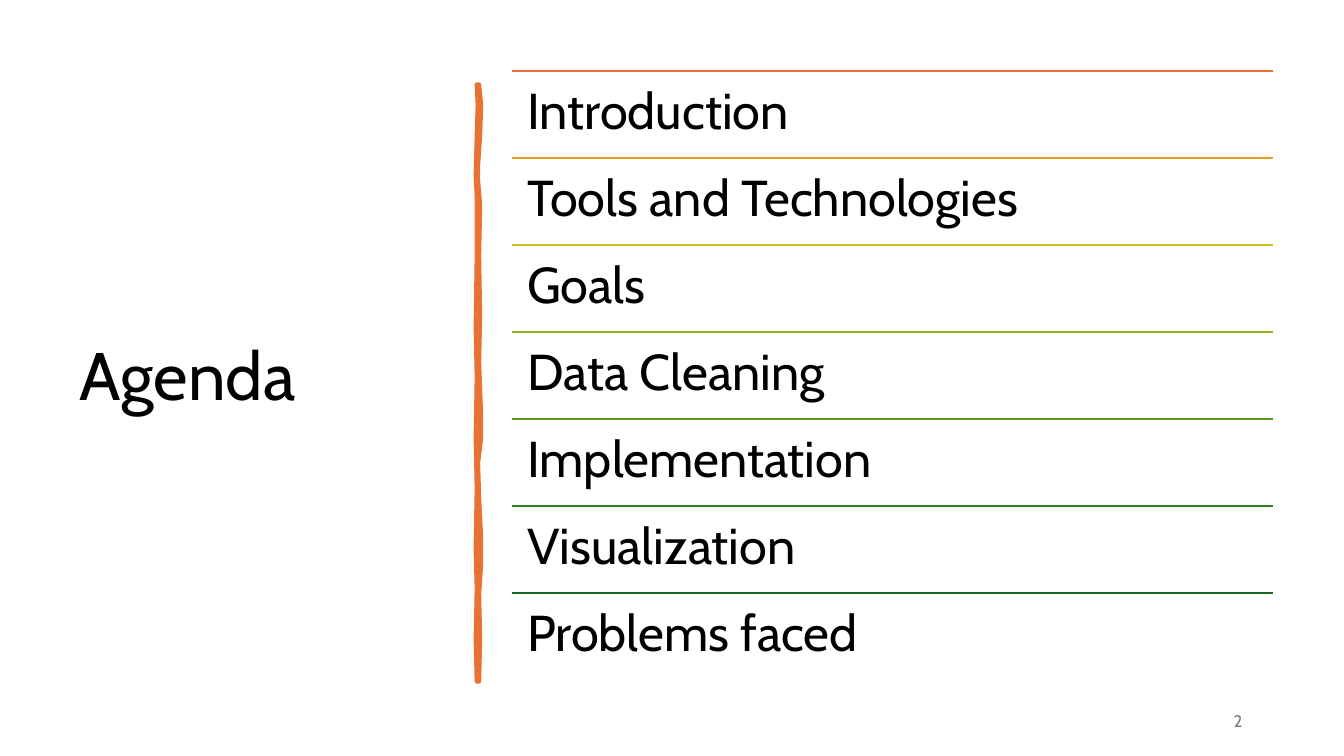
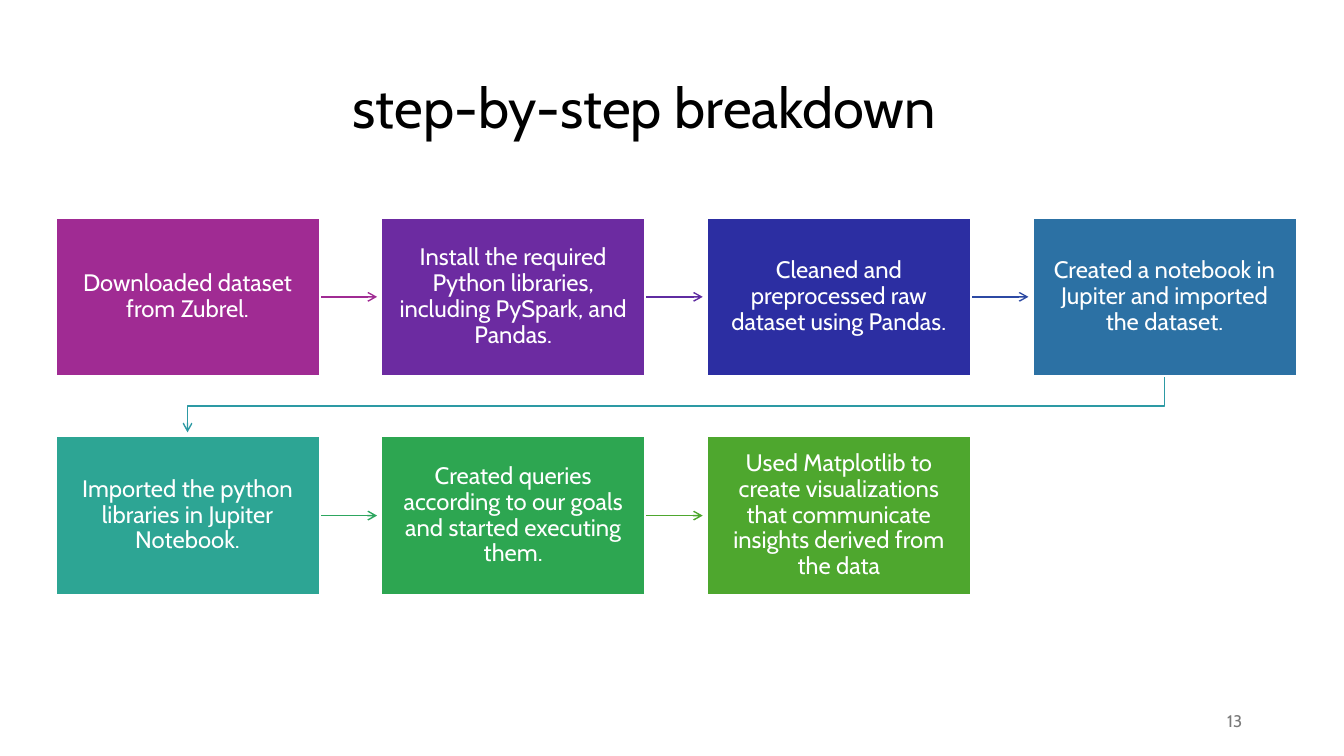
from lxml import etree
from pptx import Presentation
from pptx.dml.color import RGBColor
from pptx.enum import shapes as sh, text as tx
from pptx.oxml import ns
from pptx.util import Inches, Pt

# Shared style
FONT = "Cabin"
BLACK = RGBColor(0x00, 0x00, 0x00)
WHITE = RGBColor(0xFF, 0xFF, 0xFF)
GREY = RGBColor(0x79, 0x79, 0x79)
ORANGE = RGBColor(0xE9, 0x71, 0x32)
LEFT, CENTER, RIGHT = tx.PP_ALIGN.LEFT, tx.PP_ALIGN.CENTER, tx.PP_ALIGN.RIGHT
TOP, MIDDLE = tx.MSO_ANCHOR.TOP, tx.MSO_ANCHOR.MIDDLE

AGENDA = [
    ("Introduction", ORANGE),
    ("Tools and Technologies", RGBColor(0xE3, 0x9D, 0x1F)),
    ("Goals", RGBColor(0xCB, 0xC1, 0x1E)),
    ("Data Cleaning", RGBColor(0x8E, 0xB2, 0x1E)),
    ("Implementation", RGBColor(0x56, 0x99, 0x1D)),
    ("Visualization", RGBColor(0x2C, 0x82, 0x1B)),
    ("Problems faced", RGBColor(0x19, 0x6B, 0x24)),
]

# Step text, box colour, colour of the arrow to the next step
STEPS = [
    ("Downloaded dataset from Zubrel.",
     RGBColor(0xA0, 0x2B, 0x93), RGBColor(0xA0, 0x2B, 0x93)),
    ("Install the required Python libraries, including PySpark, and Pandas.",
     RGBColor(0x6C, 0x2B, 0xA1), RGBColor(0x5F, 0x2C, 0xA1)),
    ("Cleaned and preprocessed raw dataset using Pandas.",
     RGBColor(0x2C, 0x2E, 0xA2), RGBColor(0x2C, 0x49, 0xA3)),
    ("Created a notebook in Jupiter and imported the dataset.",
     RGBColor(0x2C, 0x71, 0xA4), RGBColor(0x2D, 0x9A, 0xA4)),
    ("Imported the python libraries in Jupiter Notebook.",
     RGBColor(0x2D, 0xA5, 0x94), RGBColor(0x2D, 0xA6, 0x5F)),
    ("Created queries according to our goals and started executing them.",
     RGBColor(0x2D, 0xA6, 0x51), RGBColor(0x4E, 0xA7, 0x2E)),
    ("Used Matplotlib to create visualizations that communicate insights "
     "derived from the data", RGBColor(0x4E, 0xA7, 0x2E), None),
]

# Hand-drawn edges of the agenda divider: (x, y) from its top left corner
BRUSH_RIGHT = [(0.04, 0), (0.06, 0.2), (0.05, 0.5), (0.03, 0.8), (0.03, 0.95),
               (0.05, 1.2), (0.04, 1.7), (0.05, 2.3), (0.04, 2.75), (0.06, 3.3),
               (0.06, 3.5), (0.03, 3.75), (0.04, 4.1), (0.06, 4.5), (0.06, 4.75),
               (0.04, 5.05), (0.05, 5.5), (0.04, 5.92)]
BRUSH_LEFT = [(0.02, 5.92), (0.01, 5.5), (0.02, 5), (0.01, 4.6), (0.02, 4),
              (0.01, 3.5), (0.02, 2.9), (0.01, 2.4), (0.02, 1.7), (0.02, 1.1),
              (0.01, 0.9), (0.02, 0.5), (0.03, 0.2), (0.02, 0)]


def write(shape, words, size, color=BLACK, align=LEFT, anchor=TOP,
          spacing=None, inset=None):
    frame = shape.text_frame
    frame.word_wrap = True
    frame.vertical_anchor = anchor
    if inset is not None:
        frame.margin_left = frame.margin_right = Inches(inset)
        frame.margin_top = frame.margin_bottom = Inches(inset)
    paragraph = frame.paragraphs[0]
    paragraph.alignment = align
    if spacing:
        paragraph.line_spacing = spacing
    run = paragraph.add_run()
    run.text = words
    run.font.name, run.font.size = FONT, Pt(size)
    run.font.color.rgb = color


def add_text(slide, box, words, size, **style):
    write(slide.shapes.add_textbox(*map(Inches, box)), words, size, **style)


def add_page_number(slide, number):
    add_text(slide, (9.42, 6.95, 3, 0.4), number, 12, color=GREY,
             align=RIGHT, anchor=MIDDLE)


def add_outline(slide, points, close):
    (x, y), *others = [(Inches(px), Inches(py)) for px, py in points]
    builder = slide.shapes.build_freeform(x, y)
    builder.add_line_segments(others, close=close)
    outline = builder.convert_to_shape()
    outline.shadow.inherit = False
    return outline


def add_line(slide, start, end):
    line = slide.shapes.add_connector(
        sh.MSO_CONNECTOR.STRAIGHT, *map(Inches, (*start, *end)))
    etree.SubElement(line._element.spPr, ns.qn("a:effectLst"))
    return line


def style_line(shape, color, width, arrow=False):
    shape.line.color.rgb = color
    shape.line.width = Pt(width)
    if arrow:
        etree.SubElement(shape.line._get_or_add_ln(), ns.qn("a:tailEnd"),
                         type="arrow")


# Agenda slide
def add_divider(slide, left, top):
    points = [(left + x, top + y) for x, y in BRUSH_RIGHT + BRUSH_LEFT]
    divider = add_outline(slide, points, close=True)
    divider.fill.solid()
    divider.fill.fore_color.rgb = ORANGE
    style_line(divider, ORANGE, 3.25)


def add_agenda_list(slide, left, top, width, height):
    row_height = height / len(AGENDA)
    for row, (topic, color) in enumerate(AGENDA):
        y = top + row * row_height
        style_line(add_line(slide, (left, y), (left + width, y)), color, 1.5)
        add_text(slide, (left, y, width, row_height), topic, 36,
                 spacing=0.9, inset=0.15)


def build_agenda(slide):
    add_text(slide, (0.69, 0.7, 3.74, 6.11), "Agenda", 48,
             anchor=MIDDLE, spacing=0.9)
    add_divider(slide, 4.71, 0.84)
    add_agenda_list(slide, 5.08, 0.7, 7.55, 6.05)
    add_page_number(slide, "2")


# Step slide
def add_step(slide, box, words, color):
    step = slide.shapes.add_shape(sh.MSO_SHAPE.RECTANGLE, *map(Inches, box))
    step.shadow.inherit = False
    step.fill.solid()
    step.fill.fore_color.rgb = color
    style_line(step, WHITE, 1.5)
    write(step, words, 17, color=WHITE, align=CENTER, anchor=MIDDLE,
          spacing=0.9, inset=0.13)


def add_flow(slide, left, top, columns=4):
    width, height, gap_x, gap_y = 2.62, 1.57, 0.61, 0.6
    clearance = 0.04
    for index, (words, color, arrow_color) in enumerate(STEPS):
        row, column = divmod(index, columns)
        x = left + column * (width + gap_x)
        y = top + row * (height + gap_y)
        middle, bottom = y + height / 2, y + height
        if arrow_color is None:
            arrow = None
        elif column < columns - 1:
            arrow = add_line(slide, (x + width, middle),
                             (x + width + gap_x - clearance, middle))
        else:
            # Wrap round to the first step of the next row
            start, end, turn = x + width / 2, left + width / 2, bottom + gap_y / 2
            arrow = add_outline(slide, [
                (start, bottom), (start, turn), (end, turn),
                (end, bottom + gap_y - clearance)], close=False)
            arrow.fill.background()
        if arrow is not None:
            style_line(arrow, arrow_color, 1, arrow=True)
        add_step(slide, (x, y, width, height), words, color)


def build_steps(slide):
    add_flow(slide, 0.55, 2.16)
    add_text(slide, (3.4, 0.67, 8.89, 0.77), "step-by-step breakdown", 40)
    add_page_number(slide, "13")


def main():
    deck = Presentation()
    deck.slide_width, deck.slide_height = Inches(13.33), Inches(7.5)
    for build in (build_agenda, build_steps):
        build(deck.slides.add_slide(deck.slide_layouts[6]))
    deck.save("out.pptx")


if __name__ == "__main__":
    main()
